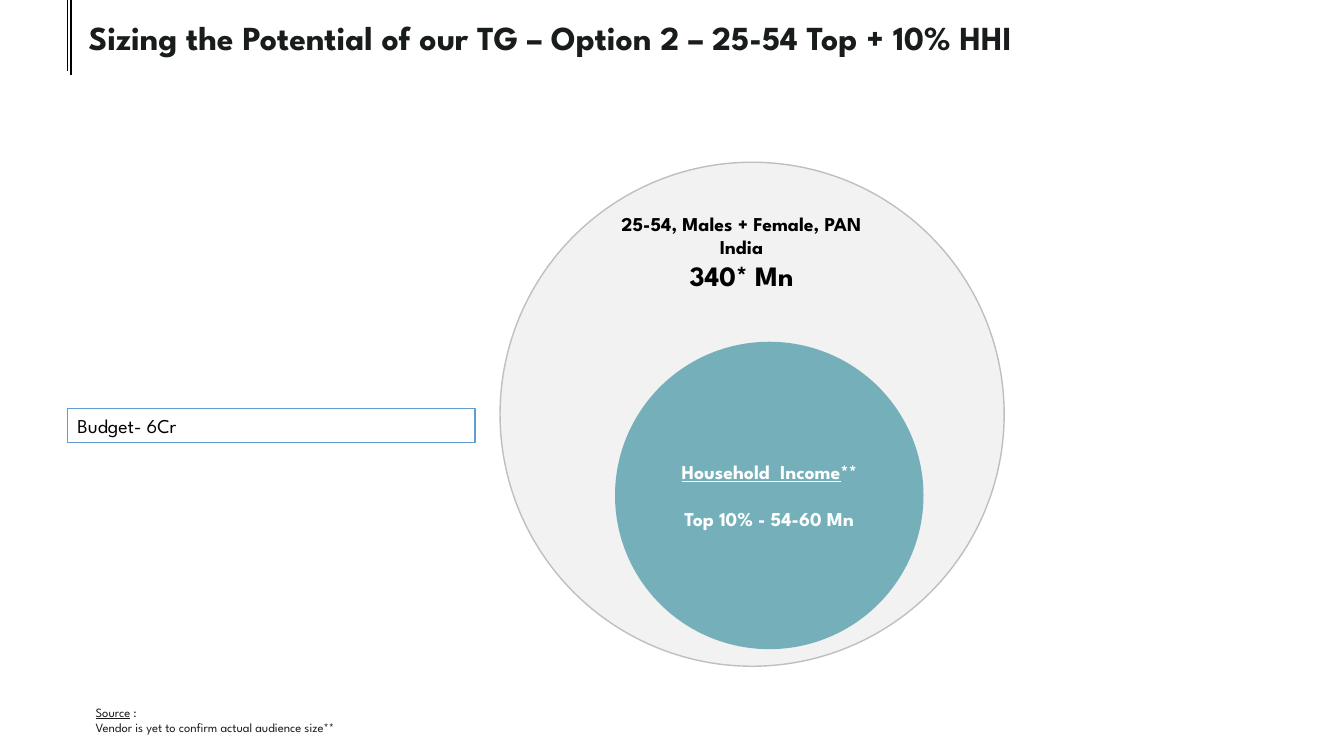
from lxml import etree
from pptx import Presentation
from pptx.dml.color import RGBColor
from pptx.enum import shapes, text
from pptx.oxml import ns
from pptx.util import Inches, Pt

FONT = "League Spartan"
COLORS = {
    "ink": "191C1C", "black": "000000", "white": "FFFFFF", "teal": "5AA2AE",
    "pale": "F2F2F2", "grey": "BFBFBF", "blue": "629DD1",
}
# Each paragraph is a list of runs: (wording, size, underlined)
TITLE = [[("Sizing the Potential of our TG – Option 2 – 25-54 Top + 10% HHI", 24, False)]]
AUDIENCE = [
    [("25-54, Males + Female, PAN India", 14, False)],
    [("340* Mn", 20, False)],
]
INCOME = [
    [("Household  Income", 14, True), ("**", 14, False)],
    [("Top 10% - 54-60 Mn", 14, False)],
]
BUDGET = [[("Budget- 6Cr", 14, False)]]
SOURCE = [
    [("Source", 9, True), (" :", 9, False)],
    [("Vendor is yet to confirm actual audience size**", 9, False)],
]
# x, bottom, width in points
MARGIN_RULES = [(0.7, 0.74, 1.5), (0.67, 0.7, 0.5)]


def color(name):
    return RGBColor.from_string(COLORS[name])


def write(shape, paragraphs, ink, bold=False, align=text.PP_ALIGN.LEFT,
          anchor=text.MSO_ANCHOR.TOP, gap=0):
    frame = shape.text_frame
    frame.word_wrap = True
    frame.auto_size = text.MSO_AUTO_SIZE.NONE
    frame.vertical_anchor = anchor
    for index, runs in enumerate(paragraphs):
        paragraph = frame.add_paragraph() if index else frame.paragraphs[0]
        paragraph.alignment = align
        paragraph.space_before = Pt(gap if index else 0)
        for wording, size, underlined in runs:
            run = paragraph.add_run()
            run.text = wording
            run.font.name = FONT
            run.font.size = Pt(size)
            run.font.bold = bold
            run.font.underline = underlined
            run.font.color.rgb = color(ink)


def add_filled(slide, kind, box, fill, line=None):
    shape = slide.shapes.add_shape(kind, *map(Inches, box))
    shape.shadow.inherit = False
    shape.fill.solid()
    shape.fill.fore_color.rgb = color(fill)
    if line:
        shape.line.color.rgb = color(line)
        shape.line.width = Pt(1)
    else:
        shape.line.fill.background()
    return shape


def set_opacity(shape, percent):
    fill_color = shape.fill._xPr.find(ns.qn("a:solidFill"))[0]
    etree.SubElement(fill_color, ns.qn("a:alpha"), val=str(percent * 1000))


def add_margin_rule(slide, x, bottom, width):
    rule = slide.shapes.add_connector(
        shapes.MSO_CONNECTOR.STRAIGHT, Inches(x), 0, Inches(x), Inches(bottom))
    rule.line.color.rgb = color("black")
    rule.line.width = Pt(width)
    etree.SubElement(rule._element.spPr, ns.qn("a:effectLst"))


def main():
    presentation = Presentation()
    presentation.slide_width = Inches(13.33)
    presentation.slide_height = Inches(7.5)
    slide = presentation.slides.add_slide(presentation.slide_layouts[5])
    center, middle = text.PP_ALIGN.CENTER, text.MSO_ANCHOR.MIDDLE
    oval = shapes.MSO_SHAPE.OVAL

    for x, bottom, width in MARGIN_RULES:
        add_margin_rule(slide, x, bottom, width)

    title = slide.shapes.title
    title.left, title.top = Inches(0.78), Inches(0.12)
    title.width, title.height = Inches(11.96), Inches(1.37)
    write(title, TITLE, "ink", bold=True)

    add_filled(slide, oval, (4.96, 1.61, 5, 5), "pale", "grey")
    audience = slide.shapes.add_textbox(*map(Inches, (5.98, 2.05, 2.75, 0.91)))
    write(audience, AUDIENCE, "black", bold=True, align=center)

    income = add_filled(slide, oval, (6.1, 3.39, 3.06, 3.05), "teal")
    set_opacity(income, 82)
    write(income, INCOME, "white", bold=True, align=center, anchor=middle, gap=17)

    budget = add_filled(
        slide, shapes.MSO_SHAPE.RECTANGLE, (0.67, 4.05, 4.04, 0.34), "white", "blue")
    write(budget, BUDGET, "black", anchor=middle)

    source = slide.shapes.add_textbox(*map(Inches, (0.85, 6.94, 11.78, 0.45)))
    write(source, SOURCE, "ink")

    presentation.save("out.pptx")


if __name__ == "__main__":
    main()
